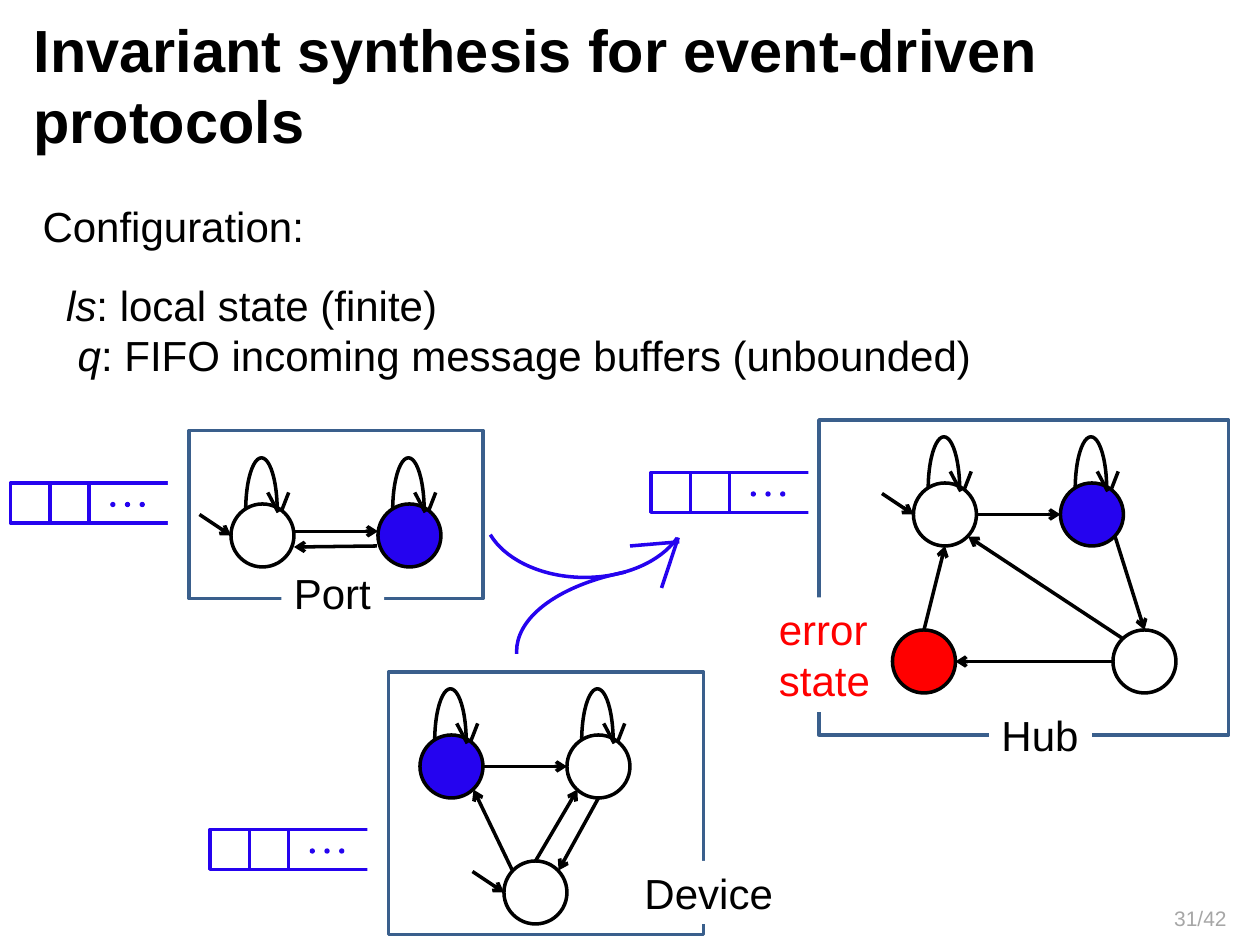
from lxml.etree import SubElement
from pptx import Presentation
from pptx.dml.color import RGBColor
from pptx.enum.shapes import MSO_CONNECTOR, MSO_SHAPE as Shape
from pptx.enum.text import MSO_ANCHOR as Anchor, MSO_AUTO_SIZE as AutoSize, PP_ALIGN as Align
from pptx.oxml.ns import qn
from pptx.util import Inches, Pt

BLACK = RGBColor(0x00, 0x00, 0x00)
WHITE = RGBColor(0xFF, 0xFF, 0xFF)
BLUE = RGBColor(0x25, 0x03, 0xEF)
RED = RGBColor(0xFF, 0x00, 0x00)
FRAME = RGBColor(0x3A, 0x5F, 0x8C)
GREY = RGBColor(0xA6, 0xA6, 0xA6)

COLUMNS = 120
WIDTH, HEIGHT = Inches(10), Inches(7.5)
CELL = WIDTH / COLUMNS
STATE = 6


def cells(*lengths):
    """Turn grid cells into slide lengths."""
    return [round(length * CELL) for length in lengths]


def add_figure(slide, kind, box, fill=None, line=None, angles=()):
    """Draw a preset shape on the grid with an optional fill and outline."""
    figure = slide.shapes.add_shape(kind, *cells(*box))
    figure.shadow.inherit = False
    for index, angle in enumerate(angles):
        figure.adjustments[index] = angle
    if fill is None:
        figure.fill.background()
    else:
        figure.fill.solid()
        figure.fill.fore_color.rgb = fill
    if line is None:
        figure.line.fill.background()
    else:
        figure.line.color.rgb = line
        figure.line.width = Pt(2)
    return figure


def add_line(slide, origin, start, end, color=BLACK, arrow=False):
    """Draw a straight line between two grid points relative to an origin."""
    left, top = origin
    points = cells(left + start[0], top + start[1], left + end[0], top + end[1])
    stroke = slide.shapes.add_connector(MSO_CONNECTOR.STRAIGHT, *points)
    stroke.line.color.rgb = color
    stroke.line.width = Pt(2)
    if arrow:
        SubElement(stroke.line._get_or_add_ln(), qn("a:tailEnd"), type="arrow")
    SubElement(stroke._element.spPr, qn("a:effectLst"))


def write(frame, lines, size=24, color=BLACK, align=Align.LEFT, bold=False):
    """Fill a text frame with evenly formatted paragraphs."""
    for index, line in enumerate(lines):
        paragraph = frame.paragraphs[0] if index == 0 else frame.add_paragraph()
        paragraph.text = line
        paragraph.alignment = align
        font = paragraph.font
        font.name, font.size, font.bold = "Arial", Pt(size), bold
        font.color.rgb = color


def add_label(slide, box, lines, color=BLACK):
    """Place a white label that interrupts the frame behind it."""
    label = add_figure(slide, Shape.RECTANGLE, box, WHITE)
    label.text_frame.word_wrap = False
    label.text_frame.vertical_anchor = Anchor.TOP
    write(label.text_frame, lines, color=color)


def add_text(slide, box, text, **style):
    """Place a single-paragraph text box on the grid."""
    frame = slide.shapes.add_textbox(*cells(*box)).text_frame
    frame.word_wrap = True
    write(frame, [text], **style)
    return frame


def add_title(slide, box):
    """Set the slide title."""
    title = slide.shapes.title
    title.left, title.top, title.width, title.height = cells(*box)
    frame = title.text_frame
    frame.auto_size = AutoSize.NONE
    frame.vertical_anchor = Anchor.MIDDLE
    write(frame, ["Invariant synthesis for event-driven protocols"], size=34, bold=True)


def add_definitions(slide, box):
    """List the parts of a configuration in the body placeholder."""
    body = slide.placeholders[1]
    body.left, body.top, body.width, body.height = cells(*box)
    frame = body.text_frame
    frame.auto_size = AutoSize.NONE
    definitions = [
        ("ls", ": local state (finite)", 1.1),
        ("q", ": FIFO incoming message buffers (unbounded)", 2.2),
    ]
    for index, (symbol, meaning, indent) in enumerate(definitions):
        paragraph = frame.paragraphs[0] if index == 0 else frame.add_paragraph()
        properties = paragraph._p.get_or_add_pPr()
        properties.set("marL", str(cells(indent)[0]))
        properties.set("indent", "0")
        SubElement(properties, qn("a:buNone"))
        paragraph.space_before = Pt(0)
        paragraph.font.name, paragraph.font.size = "Arial", Pt(24)
        paragraph.font.color.rgb = BLACK
        name = paragraph.add_run()
        name.text, name.font.italic = symbol, True
        paragraph.add_run().text = meaning


def add_queue(slide, left, top):
    """Draw a message buffer that is open on its right side."""
    height = 3.8
    add_figure(slide, Shape.RECTANGLE, (left, top, 31, height), line=BLUE)
    for slot in (1, 2):
        x = slot * 3.75
        add_line(slide, (left, top), (x, 0), (x, height), BLUE)
    for dot in range(3):
        spot = (left + 9.5 + dot * 1.4, top + 1.8, 0.5, 0.5)
        add_figure(slide, Shape.FLOWCHART_CONNECTOR, spot, BLUE)
    add_figure(slide, Shape.RECTANGLE, (left + 15, top - 3, 17, 10), WHITE)


def add_loop(slide, left, top):
    """Draw a self-transition above the state at the given corner."""
    add_figure(slide, Shape.ARC, (left + 1.4, top - 4.4, 3, 10), line=BLACK, angles=(110.6, 0))
    add_line(slide, (left, top), (3.5, -1.1), (4.5, 0.8))
    add_line(slide, (left, top), (5.5, -1.1), (4.8, 0.7))


def add_machine(slide, box, name, label, states, loops, initial, edges):
    """Draw a framed state machine with positions relative to its frame."""
    left, top = box[:2]
    add_figure(slide, Shape.RECTANGLE, box, line=FRAME)
    add_label(slide, (left + label[0], top + label[1], *label[2:]), [name])
    for x, y, fill in states:
        add_figure(slide, Shape.OVAL, (left + x, top + y, STATE, STATE), fill, BLACK)
    for start, end in edges:
        add_line(slide, (left, top), start, end, arrow=True)
    for index in loops:
        add_loop(slide, left + states[index][0], top + states[index][1])
    entry = (left + states[initial][0], top + states[initial][1])
    add_line(slide, entry, (-3, 1), (0, STATE / 2), arrow=True)


def add_message_flow(slide, left, top):
    """Draw the merging arrow from the senders to the receiving queue."""
    add_figure(slide, Shape.ARC, (left, top, 19.4, 13), line=BLUE, angles=(10.38, 98.92))
    add_figure(slide, Shape.ARC, (left + 3.2, top + 11.9, 33, 16.3), line=BLUE,
               angles=(107.52, 138.64))
    add_line(slide, (left, top), (14, 10), (18.7, 9.6), BLUE)
    add_line(slide, (left, top), (17, 14), (18.6, 9.2), BLUE)


def main():
    """Build and save the slide."""
    deck = Presentation()
    deck.slide_width, deck.slide_height = WIDTH, HEIGHT
    slide = deck.slides.add_slide(deck.slide_layouts[1])
    add_title(slide, (2, 2, 117, 12))
    add_text(slide, (1, 18.5, 31, 6), "Configuration:", align=Align.CENTER)
    add_definitions(slide, (4, 26, 100, 10.9))
    for corner in ((1, 46), (20, 79), (62, 45)):
        add_queue(slide, *corner)
    add_machine(
        slide, (78, 40, 39, 30), "Hub", (16.2, 27, 9.8, 6),
        states=[(9, 6, None), (23, 6, BLUE), (28, 20, None), (7, 20, RED)],
        loops=(0, 1), initial=0,
        edges=[((15, 9), (23, 9)), ((28, 23), (13, 23)), ((28.9, 20.8), (14.2, 11.1)),
               ((10, 20), (12, 12)), ((28.2, 11.1), (31, 20))])
    add_machine(
        slide, (37, 64, 30, 25), "Device", (23.2, 18, 14.8, 6),
        states=[(3, 6, BLUE), (17, 6, None), (11, 18, None)],
        loops=(0, 1), initial=2,
        edges=[((9, 9), (17, 9)), ((11.8, 18.9), (8.1, 11.2)),
               ((14, 18), (18, 11.2)), ((20, 12), (16.2, 18.9))])
    add_label(slide, (73, 56.9, 11.4, 10.9), ["error", "state"], RED)
    add_message_flow(slide, 46, 42)
    add_machine(
        slide, (18, 41, 28, 16), "Port", (8.8, 12.5, 9.8, 6),
        states=[(4, 7, None), (18, 7, BLUE)],
        loops=(0, 1), initial=0,
        edges=[((10, 9.6), (18, 9.6)), ((17.9, 11), (10, 11.1))])
    page = add_text(slide, (90, 85, 28, 4.8), "31/42", size=12, color=GREY, align=Align.RIGHT)
    page.vertical_anchor = Anchor.MIDDLE
    deck.save("out.pptx")


if __name__ == "__main__":
    main()
